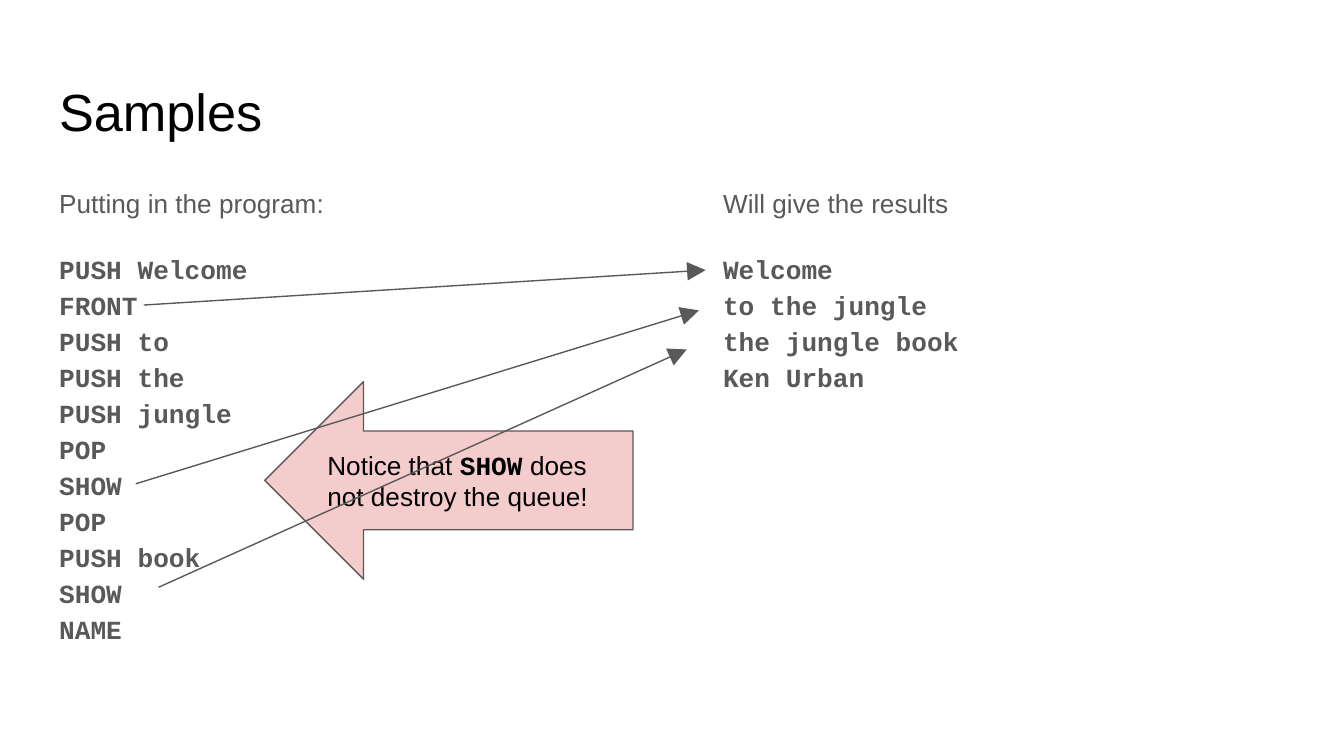
from lxml import etree
from pptx import Presentation
from pptx.dml.color import RGBColor
from pptx.enum.shapes import MSO_CONNECTOR, MSO_SHAPE
from pptx.enum.text import MSO_ANCHOR, MSO_AUTO_SIZE, PP_ALIGN
from pptx.oxml.ns import qn
from pptx.util import Inches, Pt

LEFT = PP_ALIGN.LEFT
TOP, MIDDLE = MSO_ANCHOR.TOP, MSO_ANCHOR.MIDDLE
FIXED = MSO_AUTO_SIZE.NONE
STRAIGHT = MSO_CONNECTOR.STRAIGHT
LEFT_ARROW = MSO_SHAPE.LEFT_ARROW
SANS, MONO = "Arial", "Courier New"
BLACK, GREY, PINK = "000000", "595959", "F4CCCC"

TITLE = "Samples"
COLUMNS = [
    (0.34, "Putting in the program:",
     ["PUSH Welcome", "FRONT", "PUSH to", "PUSH the", "PUSH jungle", "POP",
      "SHOW", "POP", "PUSH book", "SHOW", "NAME"]),
    (5.28, "Will give the results",
     ["Welcome", "to the jungle", "the jungle book", "Ken Urban"]),
]
NOTE = [("Notice that ", False), ("SHOW", True),
        (" does not destroy the queue!", False)]
LINKS = [
    ((1.07, 2.27), (5.25, 2.01)),
    ((1.01, 3.6), (5.2, 2.31)),
    ((1.18, 4.37), (5.11, 2.6)),
]


def color(code):
    return RGBColor.from_string(code)


def place(shape, left, top, width, height):
    shape.left, shape.top = Inches(left), Inches(top)
    shape.width, shape.height = Inches(width), Inches(height)


def set_frame(shape, anchor):
    frame = shape.text_frame
    frame.word_wrap = True
    frame.auto_size = FIXED
    frame.vertical_anchor = anchor
    frame.margin_left = frame.margin_right = Inches(0.1)
    frame.margin_top = frame.margin_bottom = Inches(0.1)
    return frame


def add_run(para, text, size, code, mono=False):
    run = para.add_run()
    run.text = text
    font = run.font
    font.size, font.bold = Pt(size), mono
    font.name = MONO if mono else SANS
    font.color.rgb = color(code)


def set_para(para, after=0, spacing=1.0):
    para.alignment = LEFT
    para.line_spacing = spacing
    para.space_before, para.space_after = Pt(0), Pt(after)


def strip_bullet(para):
    props = para._p.get_or_add_pPr()
    props.set("marL", "0")
    props.set("indent", "0")
    etree.SubElement(props, qn("a:buNone"))


def fill_column(shape, left, head, code):
    place(shape, left, 1.26, 4.37, 3.74)
    frame = set_frame(shape, TOP)
    for para in (frame.paragraphs[0], frame.add_paragraph()):
        set_para(para, 16, 1.15)
        strip_bullet(para)
    intro, block = frame.paragraphs
    add_run(intro, head, 14, GREY)
    for i, line in enumerate(code):
        if i:
            block.add_line_break()
        add_run(block, line, 14, GREY, True)


def add_note(slide):
    note = slide.shapes.add_shape(
        LEFT_ARROW, Inches(1.97), Inches(2.84), Inches(2.74), Inches(1.47))
    note.shadow.inherit = False
    note.fill.solid()
    note.fill.fore_color.rgb = color(PINK)
    note.line.color.rgb = color(GREY)
    note.line.width = Pt(0.75)
    para = set_frame(note, MIDDLE).paragraphs[0]
    set_para(para)
    for text, mono in NOTE:
        add_run(para, text, 14, BLACK, mono)


def add_link(slide, start, end):
    link = slide.shapes.add_connector(
        STRAIGHT, *(Inches(n) for n in start + end))
    link.line.color.rgb = color(GREY)
    link.line.width = Pt(0.75)
    etree.SubElement(link.line._get_or_add_ln(), qn("a:tailEnd"),
                     type="triangle", w="lg", len="lg")
    etree.SubElement(link._element.spPr, qn("a:effectLst"))


def main():
    """Build the queue samples slide."""
    deck = Presentation()
    deck.slide_width = Inches(10)
    deck.slide_height = deck.slide_width * 9 // 16
    slide = deck.slides.add_slide(deck.slide_layouts[3])
    title, *bodies = slide.placeholders
    place(title, 0.34, 0.49, 9.32, 0.63)
    para = set_frame(title, TOP).paragraphs[0]
    set_para(para)
    add_run(para, TITLE, 28, BLACK)
    for body, column in zip(bodies, COLUMNS):
        fill_column(body, *column)
    add_note(slide)
    for start, end in LINKS:
        add_link(slide, start, end)
    deck.save("out.pptx")


if __name__ == "__main__":
    main()
